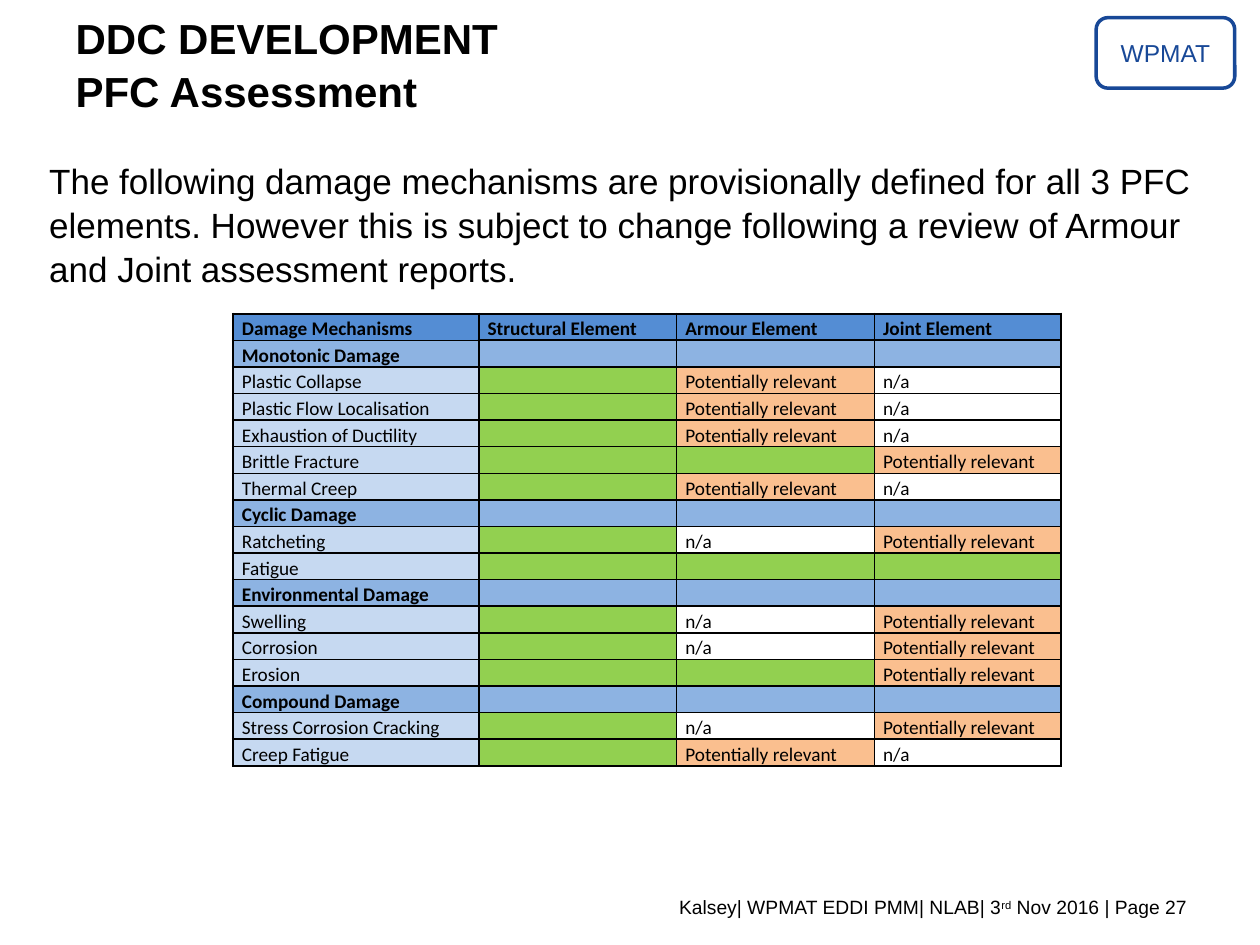
import pptx
import pptx.util
import pptx.dml.color
import pptx.enum.shapes
import pptx.enum.text
import pptx.oxml.ns
import lxml.etree

Inches = pptx.util.Inches
Pt = pptx.util.Pt
Align = pptx.enum.text.PP_ALIGN
Anchor = pptx.enum.text.MSO_ANCHOR
AutoSize = pptx.enum.text.MSO_AUTO_SIZE
qn = pptx.oxml.ns.qn

TITLE = "DDC DEVELOPMENT\vPFC Assessment"
BODY = (
    "The following damage mechanisms are provisionally defined for all 3 PFC elements. "
    "However this is subject to change following a review of Armour and Joint assessment reports."
)
BADGE = "WPMAT"
FOOTER = [("Kalsey| WPMAT EDDI PMM| NLAB| 3", 0), ("rd", 30000), (" Nov 2016 | Page 27", 0)]

YES, MAYBE, NONE = "", "Potentially relevant", "n/a"
HEADINGS = ["Damage Mechanisms", "Structural Element", "Armour Element", "Joint Element"]
GROUPS = {
    "Monotonic Damage": [
        ("Plastic Collapse", YES, MAYBE, NONE),
        ("Plastic Flow Localisation", YES, MAYBE, NONE),
        ("Exhaustion of Ductility", YES, MAYBE, NONE),
        ("Brittle Fracture", YES, YES, MAYBE),
        ("Thermal Creep", YES, MAYBE, NONE),
    ],
    "Cyclic Damage": [
        ("Ratcheting", YES, NONE, MAYBE),
        ("Fatigue", YES, YES, YES),
    ],
    "Environmental Damage": [
        ("Swelling", YES, NONE, MAYBE),
        ("Corrosion", YES, NONE, MAYBE),
        ("Erosion", YES, YES, MAYBE),
    ],
    "Compound Damage": [
        ("Stress Corrosion Cracking", YES, NONE, MAYBE),
        ("Creep Fatigue", YES, MAYBE, NONE),
    ],
}
COLUMN_WIDTHS = [1.95, 1.57, 1.57, 1.48]
ROW_HEIGHT = 0.21
STATUS_FILLS = {YES: "92D050", MAYBE: "FABF8F", NONE: "FFFFFF"}
HEADING_FILL, GROUP_FILL, MECHANISM_FILL = "548DD4", "8DB3E2", "C6D9F1"


def colour(value):
    return pptx.dml.color.RGBColor.from_string(value)


def apply(target, values):
    for name, value in values.items():
        setattr(target, name, value)


def place(box, left, top, width, height):
    apply(box, {"left": Inches(left), "top": Inches(top),
                "width": Inches(width), "height": Inches(height)})


def write(para, text, size, ink="000000", name="Arial", bold=False):
    span = para.add_run()
    span.text = text
    apply(span.font, {"size": Pt(size), "name": name, "bold": bold})
    span.font.color.rgb = colour(ink)
    return span


def add_title(page):
    box = page.shapes.title
    place(box, 0.5, 0.03, 3.59, 0.91)
    apply(box.text_frame, {"word_wrap": False, "auto_size": AutoSize.SHAPE_TO_FIT_TEXT,
                           "vertical_anchor": Anchor.TOP})
    para = box.text_frame.paragraphs[0]
    apply(para, {"alignment": Align.LEFT, "line_spacing": 1.05})
    first, second = TITLE.split("\v")
    write(para, first, 24, bold=True)
    para.add_line_break()
    write(para, second, 24, bold=True)


def add_body(page):
    box = page.placeholders[1]
    place(box, -0.21, 1.2, 10.12, 1.95)
    apply(box.text_frame, {"word_wrap": True, "auto_size": AutoSize.NONE})
    para = box.text_frame.paragraphs[0]
    apply(para, {"level": 1, "line_spacing": 1.05, "space_before": Pt(0)})
    properties = para._p.get_or_add_pPr()
    properties.set("marL", str(Inches(0.5)))
    properties.set("indent", "0")
    lxml.etree.SubElement(properties, qn("a:buNone"))
    write(para, BODY, 20)


def add_badge(page):
    shape = page.shapes.add_shape(
        pptx.enum.shapes.MSO_SHAPE.ROUNDED_RECTANGLE,
        Inches(8.7), Inches(0.14), Inches(1.1), Inches(0.56))
    shape.shadow.inherit = False
    shape.fill.background()
    shape.line.color.rgb = colour("184897")
    shape.line.width = Pt(2)
    shape.text_frame.vertical_anchor = Anchor.MIDDLE
    para = shape.text_frame.paragraphs[0]
    para.alignment = Align.CENTER
    write(para, BADGE, 14, "184897")


def add_footer(page):
    box = page.shapes.add_textbox(Inches(0.51), Inches(7.06), Inches(9.01), Inches(0.29))
    box.text_frame.word_wrap = True
    para = box.text_frame.paragraphs[0]
    para.alignment = Align.RIGHT
    for text, baseline in FOOTER:
        span = write(para, text, 11)
        if baseline:
            span.font._element.set("baseline", str(baseline))


def set_borders(cell, widths):
    properties = cell._tc.get_or_add_tcPr()
    for index, (side, width) in enumerate(widths.items()):
        line = lxml.etree.Element(qn(f"a:ln{side}"), w=str(Pt(width)))
        fill = lxml.etree.SubElement(line, qn("a:solidFill"))
        lxml.etree.SubElement(fill, qn("a:srgbClr"), val="000000")
        properties.insert(index, line)


def fill_cell(cell, text, fill, bold):
    apply(cell, {"margin_left": Inches(0.07), "margin_right": Inches(0.07),
                 "margin_top": 0, "margin_bottom": 0})
    cell.fill.solid()
    cell.fill.fore_color.rgb = colour(fill)
    para = cell.text_frame.paragraphs[0]
    apply(para, {"alignment": Align.JUSTIFY, "line_spacing": 1.15})
    if text:
        write(para, text, 11, name="Calibri", bold=bold)
    else:
        lxml.etree.SubElement(para._p, qn("a:endParaRPr"), sz="1100")


def table_rows():
    rows = [[(text, HEADING_FILL, True) for text in HEADINGS]]
    for group, mechanisms in GROUPS.items():
        rows.append([(text, GROUP_FILL, True) for text in (group, "", "", "")])
        for mechanism, *statuses in mechanisms:
            rows.append([(mechanism, MECHANISM_FILL, False)]
                        + [(status, STATUS_FILLS[status], False) for status in statuses])
    return rows


def add_damage_table(page):
    rows = table_rows()
    last_row, last_column = len(rows) - 1, len(COLUMN_WIDTHS) - 1
    frame = page.shapes.add_table(
        len(rows), len(COLUMN_WIDTHS), Inches(1.85), Inches(2.49),
        Inches(sum(COLUMN_WIDTHS)), Inches(ROW_HEIGHT * len(rows)))
    table = frame.table
    apply(table, {"first_row": False, "horz_banding": False})
    for column, width in zip(table.columns, COLUMN_WIDTHS):
        column.width = Inches(width)
    for r, row in enumerate(rows):
        table.rows[r].height = Inches(ROW_HEIGHT)
        for c, content in enumerate(row):
            cell = table.cell(r, c)
            fill_cell(cell, *content)
            thick = {
                "L": c <= 1,
                "R": c in (0, last_column),
                "T": r == 0 or (r == 1 and c > 0),
                "B": r == last_row or (r == 0 and c > 0),
            }
            set_borders(cell, {side: 1.5 if heavy else 1 for side, heavy in thick.items()})


def main():
    deck = pptx.Presentation()
    apply(deck, {"slide_width": Inches(10), "slide_height": Inches(7.5)})
    page = deck.slides.add_slide(deck.slide_layouts[1])
    for build in (add_badge, add_footer, add_title, add_damage_table, add_body):
        build(page)
    deck.save("out.pptx")


if __name__ == "__main__":
    main()
